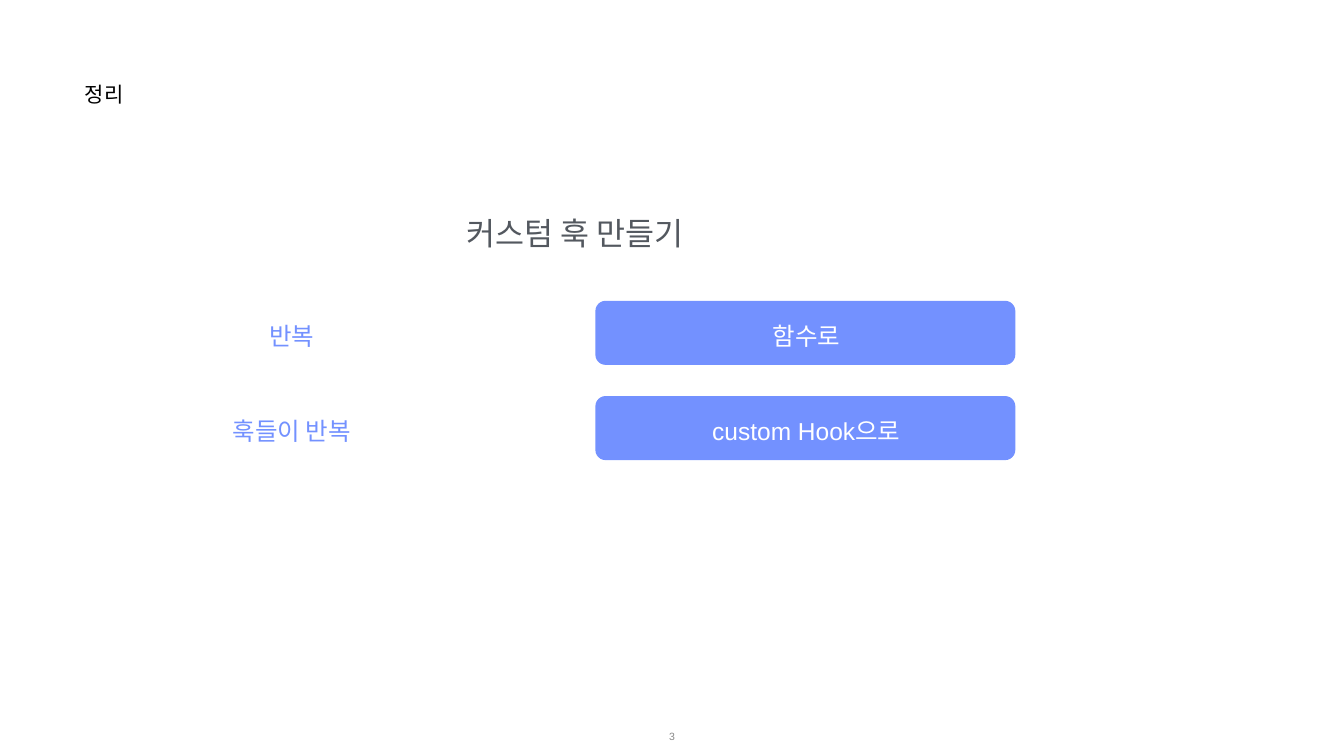
from pptx import Presentation
from pptx.dml.color import RGBColor
from pptx.enum import shapes, text
from pptx.util import Cm, Pt

BLACK = RGBColor(0x00, 0x00, 0x00)
GREY = RGBColor(0x53, 0x58, 0x5F)
LIGHT_GREY = RGBColor(0x88, 0x88, 0x88)
BLUE = RGBColor(0x73, 0x91, 0xFF)
WHITE = RGBColor(0xFF, 0xFF, 0xFF)
LEFT, CENTER = text.PP_ALIGN.LEFT, text.PP_ALIGN.CENTER
TOP, MIDDLE = text.MSO_ANCHOR.TOP, text.MSO_ANCHOR.MIDDLE

# Content
SECTION = "정리"
HEADING = "커스텀 훅 만들기"
ROWS = [("반복", "함수로"), ("훅들이 반복", "custom Hook으로")]
PAGE = "3"

# Layout in centimetres
ROW_TOP, ROW_STEP = 15.16, 4.8
CARD_LEFT, CARD_W, CARD_H = 30, 21.16, 3.23
LABEL_LEFT, LABEL_W, LABEL_H = 6.77, 15.88, 1.57
LABEL_DROP = 0.96

prs = Presentation()
prs.slide_width, prs.slide_height = Cm(67.72), Cm(38.1)
s = prs.slides.add_slide(prs.slide_layouts[6])


def add_text(words, x, y, w, h, size, color, align=CENTER, anchor=MIDDLE):
    tf = s.shapes.add_textbox(Cm(x), Cm(y), Cm(w), Cm(h)).text_frame
    tf.word_wrap = True
    tf.vertical_anchor = anchor
    tf.margin_left = tf.margin_right = tf.margin_top = tf.margin_bottom = Cm(0.03)
    p = tf.paragraphs[0]
    p.text = words
    p.alignment = align
    p.font.name, p.font.size = "Arial", Pt(size)
    p.font.color.rgb = color


def add_card(x, y):
    sp = s.shapes.add_shape(shapes.MSO_SHAPE.ROUNDED_RECTANGLE,
                            Cm(x), Cm(y), Cm(CARD_W), Cm(CARD_H))
    sp.adjustments[0] = 0.16
    sp.shadow.inherit = False
    sp.fill.solid()
    sp.fill.fore_color.rgb = BLUE
    sp.line.fill.background()


# Section name and heading
add_text(SECTION, 4.24, 4.06, 12.34, 3, 30, BLACK, LEFT, TOP)
add_text(HEADING, 6.71, 10.77, 44.55, 2, 45, GREY, anchor=TOP)

# One row per case: label on the left, answer card on the right
for i, (label, answer) in enumerate(ROWS):
    y = ROW_TOP + i * ROW_STEP
    add_card(CARD_LEFT, y)
    add_text(label, LABEL_LEFT, y + LABEL_DROP, LABEL_W, LABEL_H, 35, BLUE)
    add_text(answer, CARD_LEFT + 0.05, y + LABEL_DROP, CARD_W, LABEL_H, 35, WHITE)

# Page number
add_text(PAGE, 26.24, 36.09, 15.24, 2, 15, LIGHT_GREY)

prs.save("out.pptx")
